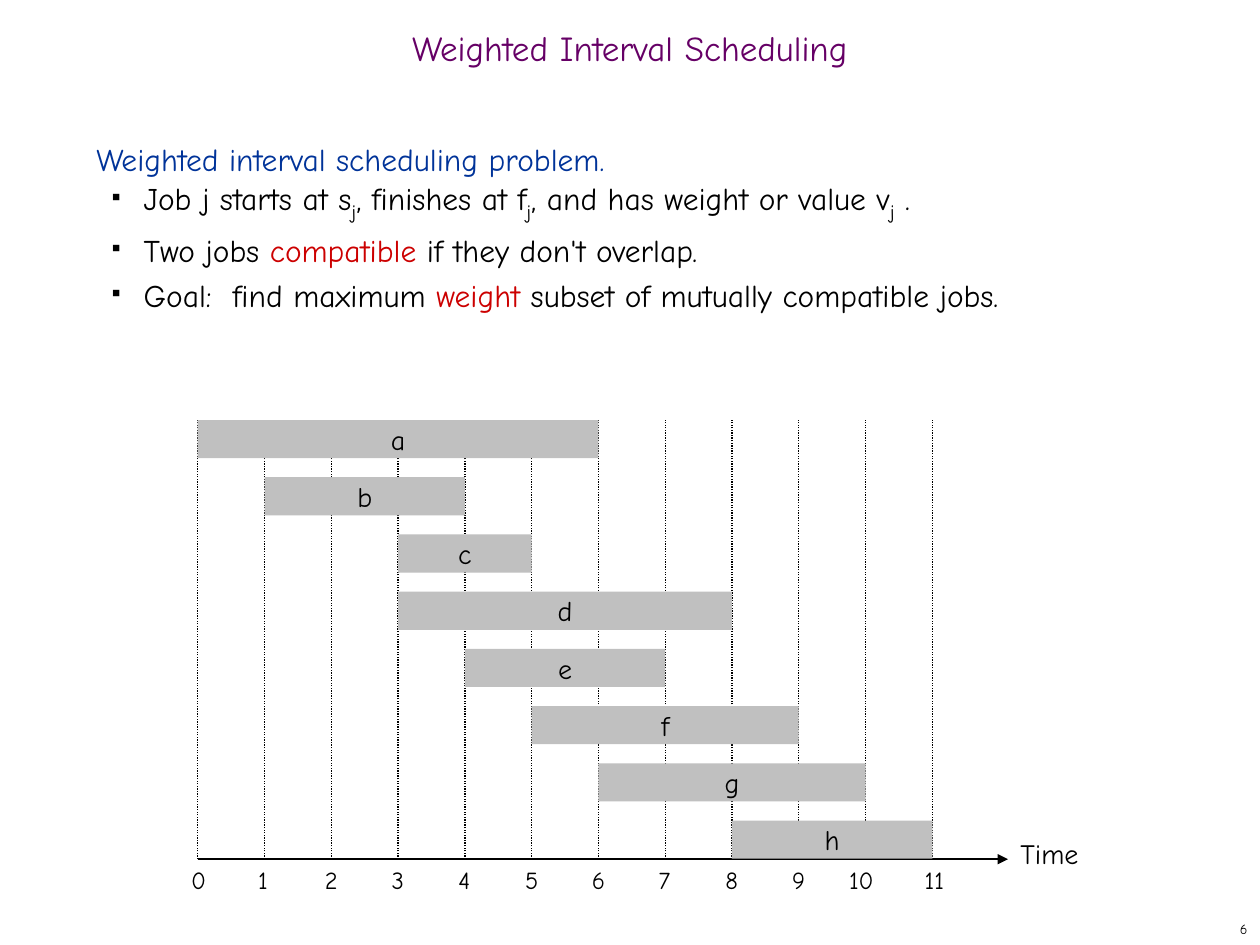
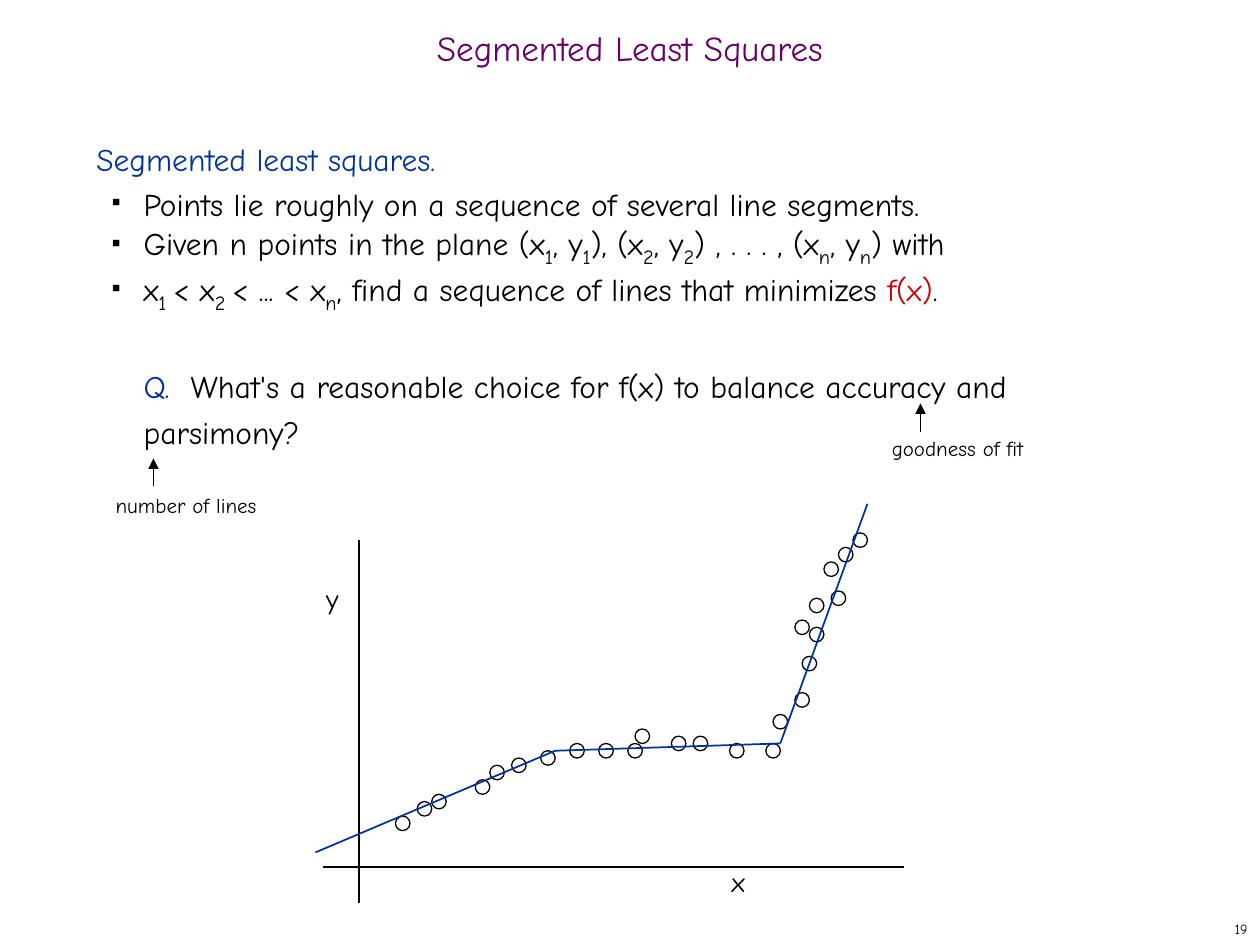
from collections import namedtuple
from itertools import pairwise

from lxml.etree import SubElement
from pptx import Presentation
from pptx.dml.color import RGBColor
from pptx.enum.dml import MSO_LINE as Dash
from pptx.enum.shapes import MSO_CONNECTOR as Conn, MSO_SHAPE as Shape
from pptx.enum.text import MSO_ANCHOR as Anchor, PP_ALIGN as Align
from pptx.oxml.ns import qn
from pptx.util import Pt

BLACK = RGBColor(0x00, 0x00, 0x00)
PURPLE = RGBColor(0x66, 0x00, 0x66)
BLUE = RGBColor(0x00, 0x33, 0x99)
RED = RGBColor(0xCC, 0x00, 0x00)
GRAY = RGBColor(0xC0, 0xC0, 0xC0)

Run = namedtuple("Run", "text color size baseline", defaults=(BLACK, 18, 0))


def red(text):
    return Run(text, RED)


def sub(text):
    return Run(text, size=20, baseline=-25)


class Deck:
    font = "Comic Neue"
    line_height = Pt(26)
    indent = Pt(27)
    hanging = Pt(-18)

    def __init__(self):
        self.prs = Presentation()
        self.prs.slide_width, self.prs.slide_height = Pt(720), Pt(540)
        self.s = None

    def slide(self, title, number):
        self.s = self.prs.slides.add_slide(self.prs.slide_layouts[6])
        p = self.text(0, 12, 720, 36, Run(title, PURPLE, 20), Align.CENTER, Anchor.MIDDLE)
        p.line_spacing = 0.7
        self.text(570, 522, 150, 18, Run(str(number), size=8), Align.RIGHT, Anchor.MIDDLE)

    def add_run(self, p, run):
        run = Run(run) if isinstance(run, str) else run
        r = p.add_run()
        r.text = run.text
        r.font.name = self.font
        r.font.size = Pt(run.size)
        r.font.color.rgb = run.color
        if run.baseline:
            r.font._element.set("baseline", str(run.baseline * 1000))

    def text(self, x, y, w, h, run, align=Align.LEFT, anchor=Anchor.TOP, wrap=True):
        sp = self.s.shapes.add_textbox(Pt(x), Pt(y), Pt(w), Pt(h))
        return self.fill_text(sp.text_frame, run, align, anchor, wrap)

    def fill_text(self, tf, run, align, anchor, wrap):
        tf.word_wrap = wrap
        tf.vertical_anchor = anchor
        p = tf.paragraphs[0]
        p.alignment = align
        self.add_run(p, run)
        return p

    def body(self, heading, bullets, question=()):
        sp = self.s.shapes.add_textbox(Pt(48), Pt(72), Pt(618), Pt(426))
        tf = sp.text_frame
        p = self.fill_text(tf, Run(heading, BLUE), Align.LEFT, Anchor.TOP, True)
        p.line_spacing = self.line_height
        for runs in bullets:
            self.bullet(self.body_line(tf, runs, self.hanging))
        if question:
            self.body_line(tf, question, 0).space_before = self.line_height

    def body_line(self, tf, runs, hanging):
        p = tf.add_paragraph()
        p.line_spacing = self.line_height
        pPr = p._p.get_or_add_pPr()
        pPr.set("marL", str(self.indent))
        pPr.set("indent", str(hanging))
        for run in runs:
            self.add_run(p, run)
        return p

    def bullet(self, p):
        pPr = p._p.get_or_add_pPr()
        color = SubElement(pPr, qn("a:buClr"))
        SubElement(color, qn("a:srgbClr"), val=str(BLACK))
        SubElement(pPr, qn("a:buSzPct"), val="35000")
        SubElement(pPr, qn("a:buChar"), char="■")

    def line(self, start, end, color=BLACK, width=0.75, dash=None, arrow=False):
        points = [Pt(v) for v in (*start, *end)]
        c = self.s.shapes.add_connector(Conn.STRAIGHT, *points)
        c.line.color.rgb = color
        c.line.width = Pt(width)
        if dash:
            c.line.dash_style = dash
        spPr = c._element.spPr
        if arrow:
            SubElement(spPr.find(qn("a:ln")), qn("a:tailEnd"), type="triangle")
        SubElement(spPr, qn("a:effectLst"))

    def shape(self, kind, x, y, w, h):
        sp = self.s.shapes.add_shape(kind, Pt(x), Pt(y), Pt(w), Pt(h))
        sp.shadow.inherit = False
        return sp

    def bar(self, x, y, w, h, label):
        sp = self.shape(Shape.RECTANGLE, x, y, w, h)
        sp.fill.solid()
        sp.fill.fore_color.rgb = GRAY
        sp.line.fill.background()
        self.fill_text(sp.text_frame, Run(label, size=16), Align.CENTER, Anchor.MIDDLE, False)

    def circle(self, x, y, size):
        sp = self.shape(Shape.OVAL, x, y, size, size)
        sp.fill.background()
        sp.line.color.rgb = BLACK
        sp.line.width = Pt(0.75)

    def label(self, x, y, w, h, text, size=16, wrap=False):
        self.text(x, y, w, h, Run(text, size=size), wrap=wrap)


def interval_scheduling(deck):
    deck.slide("Weighted Interval Scheduling", 6)
    deck.body("Weighted interval scheduling problem.", [
        ["Job j starts at s", sub("j"), ", finishes at f", sub("j"),
         ", and has weight or value v", sub("j"), " ."],
        ["Two jobs ", red("compatible "), "if they don't overlap."],
        ["Goal:  find maximum ", red("weight"), " subset of mutually compatible jobs."],
    ])

    left, top, axis_y = 113, 240, 491
    hour, row, bar_height = 38.16, 32.7, 21.8
    jobs = {"a": (0, 6), "b": (1, 4), "c": (3, 5), "d": (3, 8),
            "e": (4, 7), "f": (5, 9), "g": (6, 10), "h": (8, 11)}
    label_shift = {10: -16.5, 11: -11.5}

    deck.line((left, axis_y), (576, axis_y), width=1.25, arrow=True)
    deck.label(576, 474.5, 60, 26.5, "Time", wrap=True)
    for t in range(12):
        x = left + t * hour
        deck.line((x, axis_y), (x, top), dash=Dash.ROUND_DOT)
        deck.label(x + label_shift.get(t, -10.8), axis_y, 33, 24, str(t), 14, wrap=True)
    for i, (job, (start, finish)) in enumerate(jobs.items()):
        deck.bar(left + start * hour, top + i * row, (finish - start) * hour, bar_height, job)


def segmented_least_squares(deck):
    deck.slide("Segmented Least Squares", 19)
    deck.body("Segmented least squares.", [
        ["Points lie roughly on a sequence of several line segments."],
        ["Given n points in the plane (x", sub("1"), ", y", sub("1"), "), (x", sub("2"),
         ", y", sub("2"), ") , . . . , (x", sub("n"), ", y", sub("n"), ") with"],
        ["x", sub("1 "), "< x", sub("2 "), "< ... < x", sub("n"),
         ", find a sequence of lines that minimizes ", red("f(x)"), "."],
    ], [Run("Q.  ", BLUE),
        "What's a reasonable choice for f(x) to balance accuracy and parsimony?"])

    unit = 4.15
    points = [(5, 7), (8, 9), (10, 10), (16, 12), (18, 14), (21, 15), (25, 16),
              (29, 17), (33, 17), (37, 17), (38, 19), (43, 18), (46, 18), (51, 17),
              (56, 17), (57, 21), (60, 24), (61, 29), (62, 33), (60, 34), (62, 37),
              (65, 38), (64, 42), (66, 44), (68, 46)]
    knots = [(-6, 2), (27, 16), (58, 17), (70, 50)]

    def at(x, y):
        return 205.2 + x * unit, 495.4 - y * unit

    deck.line(at(0, 45), at(0, -5))
    deck.line(at(-5, 0), at(75, 0))
    for point in points:
        deck.circle(*at(*point), 2 * unit)
    for start, end in pairwise(knots):
        deck.line(at(*start), at(*end), BLUE, 1)
    deck.label(411, 490.5, 22, 26.5, "x")
    deck.label(179.3, 329, 22, 26.5, "y")

    deck.label(502.5, 245.5, 90, 21.8, "goodness of fit", 12)
    deck.line((526, 247), (526, 230.5), arrow=True)
    deck.label(59, 278, 95, 21.8, "number of lines", 12)
    deck.line((87.7, 278), (87.7, 262), arrow=True)


def main():
    deck = Deck()
    interval_scheduling(deck)
    segmented_least_squares(deck)
    deck.prs.save("out.pptx")


if __name__ == "__main__":
    main()
